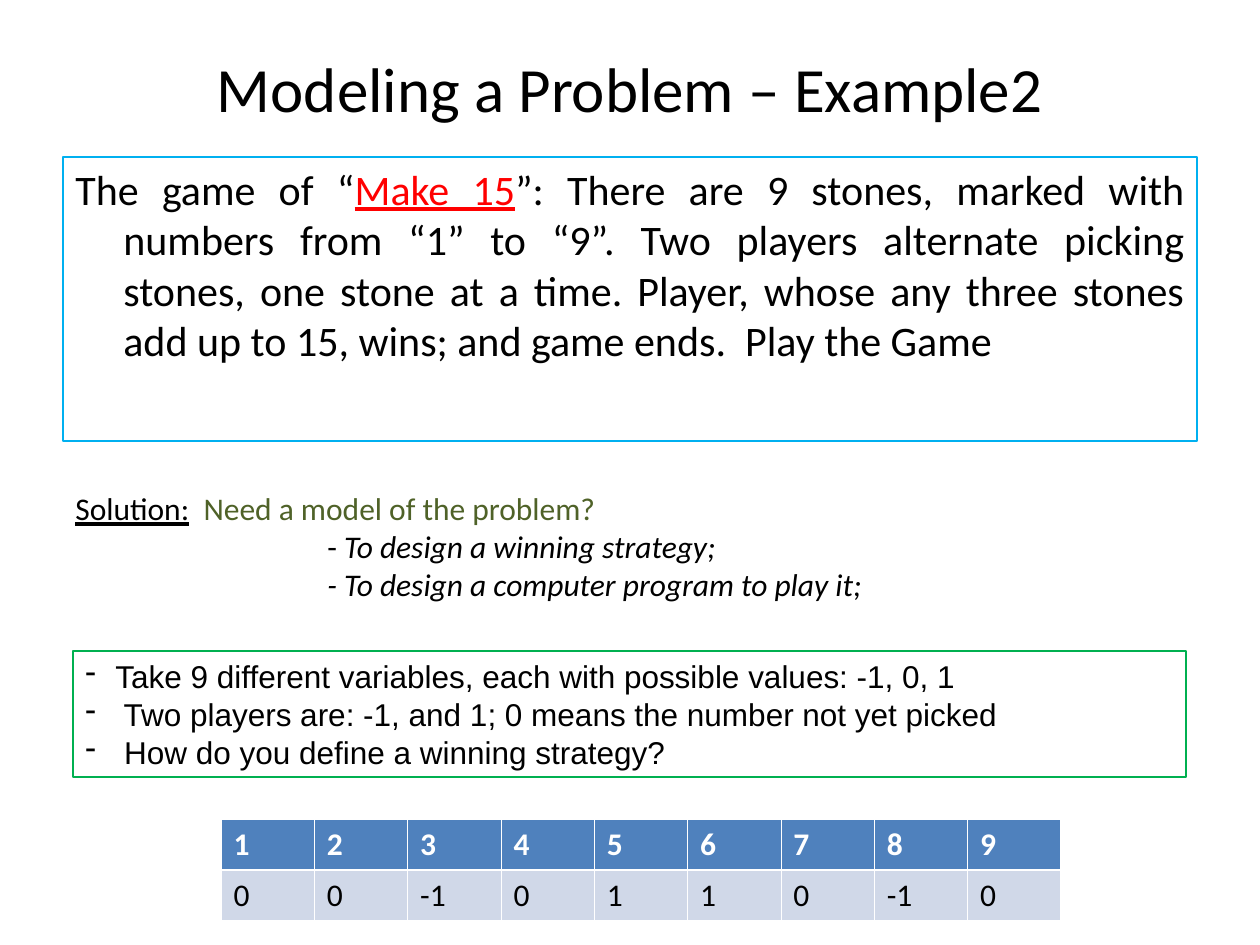
import pptx
import pptx.util
import pptx.dml.color
import pptx.enum.shapes
import pptx.enum.text
from lxml import etree

SCALE = 914400 / 126
COLORS = {
    "ink": "000000", "red": "FF0000", "olive": "4F6228", "blue": "00B0F0",
    "green": "00B050", "header": "4F81BD", "cell": "D0D8E8", "white": "FFFFFF",
}
ALIGN = pptx.enum.text.PP_ALIGN
ANCHOR = pptx.enum.text.MSO_ANCHOR

TITLE = [["Modeling a Problem – Example2"]]
GAME = [[
    "The game of “",
    ("Make 15", {"color": "red", "underline": True}),
    "”: There are 9 stones, marked with numbers from “1” to “9”. Two players "
    "alternate picking stones, one stone at a time. Player, whose any three "
    "stones add up to 15, wins; and game ends.  Play the Game",
]]
SOLUTION = [[
    ("Solution:", {"underline": True}),
    "  ",
    ("Need a model of the problem?", {"color": "olive"}),
]]
GOALS = [
    ["- ", ("To design a winning strategy;", {"italic": True})],
    [("- To design a computer program to play it;", {"italic": True})],
]
MODEL = [
    ["Take 9 different variables, each with possible values: -1, 0, 1"],
    [" Two players are: -1, and 1; 0 means the number not yet picked"],
    [" How do you define a winning strategy?"],
]
STONES = ["1", "2", "3", "4", "5", "6", "7", "8", "9"]
PICKS = ["0", "0", "-1", "0", "1", "1", "0", "-1", "0"]


def px(value):
    return pptx.util.Emu(round(value * SCALE))


def rgb(name):
    return pptx.dml.color.RGBColor.from_string(COLORS[name])


def add_child(parent, tag, **attributes):
    child = etree.SubElement(parent, pptx.oxml.ns.qn(tag))
    for key, value in attributes.items():
        child.set(key, str(value))
    return child


def write(frame, paragraphs, size=18, font="Calibri", color="ink", bold=False,
          align=ALIGN.LEFT, margin=0, indent=0, bullet=None):
    frame.word_wrap = True
    for parts in paragraphs:
        first = frame.paragraphs[0]
        paragraph = frame.add_paragraph() if first.runs else first
        paragraph.alignment = align
        properties = paragraph._p.get_or_add_pPr()
        properties.set("marL", str(px(margin)))
        properties.set("indent", str(px(indent)))
        if bullet:
            add_child(properties, "a:buChar", char=bullet)
        for part in parts:
            words, style = (part, {}) if isinstance(part, str) else part
            run = paragraph.add_run()
            run.text = words
            run.font.size = pptx.util.Pt(size)
            run.font.name = font
            run.font.bold = bold
            run.font.italic = style.get("italic", False)
            run.font.underline = style.get("underline", False)
            run.font.color.rgb = rgb(style.get("color", color))


def add_frame(slide, box, outline, width):
    shape = slide.shapes.add_shape(
        pptx.enum.shapes.MSO_SHAPE.RECTANGLE, *map(px, box))
    shape.shadow.inherit = False
    shape.fill.background()
    shape.line.color.rgb = rgb(outline)
    shape.line.width = pptx.util.Pt(width)
    shape.text_frame.vertical_anchor = ANCHOR.TOP
    return shape.text_frame


def add_borders(cell, top, bottom):
    properties = cell._tc.get_or_add_tcPr()
    widths = {"a:lnL": 0.45, "a:lnR": 0.45, "a:lnT": top, "a:lnB": bottom}
    for tag, width in widths.items():
        border = add_child(properties, tag, w=pptx.util.Pt(width))
        fill = add_child(border, "a:solidFill")
        add_child(fill, "a:srgbClr", val=COLORS["white"])


def add_stone_table(slide, left, top, width, heights):
    table = slide.shapes.add_table(
        2, len(STONES), px(left), px(top), px(width), px(sum(heights))).table
    for column in table.columns:
        column.width = px(width / len(STONES))
    rows = [
        (STONES, "header", "white", True, 0.45, 1.47),
        (PICKS, "cell", "ink", False, 1.47, 0.45),
    ]
    for r, (values, fill, color, bold, upper, lower) in enumerate(rows):
        table.rows[r].height = px(heights[r])
        for c, value in enumerate(values):
            cell = table.cell(r, c)
            add_borders(cell, upper, lower)
            cell.fill.solid()
            cell.fill.fore_color.rgb = rgb(fill)
            write(cell.text_frame, [[value]], color=color, bold=bold)


def main():
    deck = pptx.Presentation()
    deck.slide_width, deck.slide_height = px(1260), px(945)
    slide = deck.slides.add_slide(deck.slide_layouts[6])

    title = slide.shapes.add_textbox(px(63), px(38), px(1134), px(98)).text_frame
    title.vertical_anchor = ANCHOR.MIDDLE
    write(title, TITLE, size=36, align=ALIGN.CENTER)

    game = add_frame(slide, (63, 157, 1134, 284), "blue", 1.25)
    write(game, GAME, size=24, align=ALIGN.JUSTIFY, margin=48, indent=-48)

    solution = slide.shapes.add_textbox(px(63), px(483), px(829), px(126)).text_frame
    write(solution, SOLUTION)
    for goal in GOALS:
        solution.add_paragraph()
    for paragraph, goal in zip(solution.paragraphs[1:], GOALS):
        paragraph._p.getparent().remove(paragraph._p)
        write(solution, [goal], margin=252)

    model = add_frame(slide, (73, 651, 1113, 126), "green", 1.5)
    write(model, MODEL, font="Arial", margin=30, indent=-30, bullet="-")

    add_stone_table(slide, 221, 819, 840, (51, 50))
    deck.save("out.pptx")


if __name__ == "__main__":
    main()
